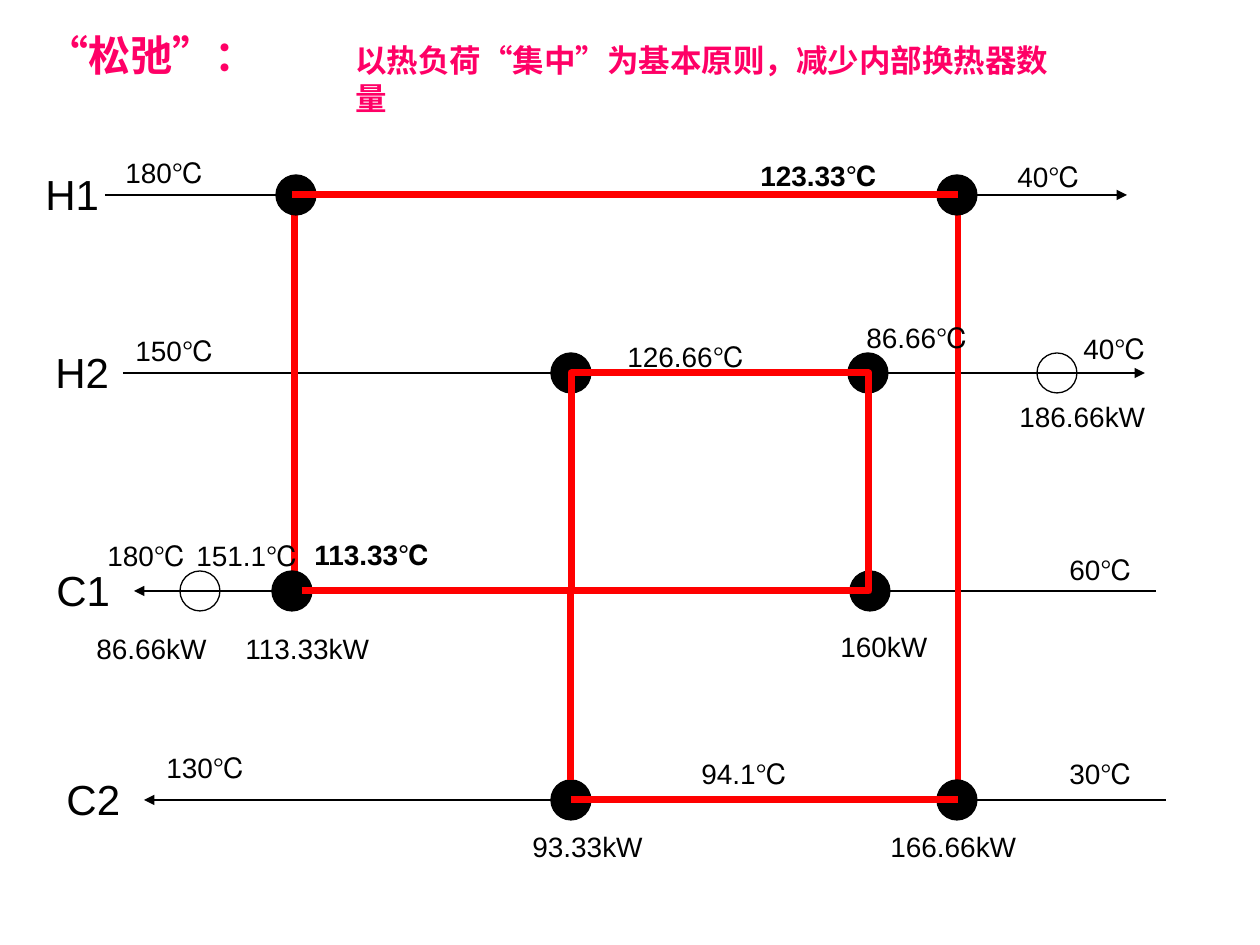
import pptx
import pptx.dml.color
import pptx.enum.shapes
import pptx.enum.text
import pptx.oxml
import pptx.oxml.ns
import pptx.util

PX = 914400 / 126
BLACK, RED, PINK = "000000", "FF0000", "FF0066"
NODE = 40
H1, H2, C1, C2 = 195, 373, 591, 800

STREAMS = [
    ("H1", 33, 105, H1, 1.5, "tailEnd"),
    ("H2", 43, 123, H2, 1.5, "tailEnd"),
    ("C1", 44, 134, C1, 1, "headEnd"),
    ("C2", 54, 144, C2, 1.5, "headEnd"),
]
STREAM_LENGTH = 1022
TEMPERATURES = [
    ("180℃", 113, 149, 120, False),
    ("123.33℃", 748, 152, 169, True),
    ("40℃", 1005, 153, 120, False),
    ("150℃", 123, 327, 120, False),
    ("126.66℃", 615, 333, 164, False),
    ("86.66℃", 854, 314, 154, False),
    ("40℃", 1071, 325, 120, False),
    ("60℃", 1057, 546, 120, False),
    ("113.33℃", 302, 531, 149, True),
    ("151.1℃", 184, 532, 139, False),
    ("180℃", 95, 532, 120, False),
    ("130℃", 154, 744, 120, False),
    ("94.1℃", 689, 750, 139, False),
    ("30℃", 1057, 750, 120, False),
]
LOADS = [
    ("113.33kW", 233, 625, 159, False),
    ("86.66kW", 84, 625, 179, False),
    ("160kW", 828, 623, 120, False),
    ("186.66kW", 1007, 393, 159, False),
    ("93.33kW", 520, 823, 159, False),
    ("166.66kW", 878, 823, 159, False),
]
UTILITIES = [(1057, H2), (200, C1)]
EXCHANGERS = [(868, H2), (870, C1), (957, H1), (571, H2),
              (296, H1), (957, C2), (292, C1), (571, C2)]
MATCHES = [(295, 214, 295, 572), (958, 214, 958, 780)]
LOOPS = [(302, C1, 571, C1), (571, C1, 571, 780),
         (292, H1, 958, H1), (571, C2, 958, C2)]


def px(n):
    """Turn px into EMU."""
    return pptx.util.Emu(round(n * PX))


def color(value):
    """Turn a hex string into a colour."""
    return pptx.dml.color.RGBColor.from_string(value)


def add_line(s, x1, y1, x2, y2, line, width, arrow=None):
    """Draw a straight line, with an arrowhead at the named end."""
    c = s.shapes.add_connector(pptx.enum.shapes.MSO_CONNECTOR.STRAIGHT,
                               px(x1), px(y1), px(x2), px(y2))
    c.line.color.rgb = color(line)
    c.line.width = pptx.util.Pt(width)
    if arrow:
        end = pptx.oxml.ns.qn(f"a:{arrow}")
        c.line._get_or_add_ln().makeelement(end)
        head = pptx.oxml.parse_xml(
            f'<a:{arrow} {pptx.oxml.ns.nsdecls("a")} type="triangle"/>')
        c.line._get_or_add_ln().append(head)
    c._element.spPr.append(pptx.oxml.parse_xml(
        f'<a:effectLst {pptx.oxml.ns.nsdecls("a")}/>'))


def add_outline(s, kind, x, y, w, h, line, width, fill=None):
    """Draw a preset shape, hollow unless a fill is given."""
    sp = s.shapes.add_shape(kind, px(x), px(y), px(w), px(h))
    sp.shadow.inherit = False
    if fill:
        sp.fill.solid()
        sp.fill.fore_color.rgb = color(fill)
    else:
        sp.fill.background()
    sp.line.color.rgb = color(line)
    sp.line.width = pptx.util.Pt(width)


def add_node(s, x, y, fill=None):
    """Draw a heat exchanger circle centred on a stream."""
    add_outline(s, pptx.enum.shapes.MSO_SHAPE.OVAL, x - NODE / 2, y - NODE / 2,
                NODE, NODE, BLACK, 0.75, fill)


def add_text(s, text, x, y, w, h, size, ink=BLACK, bold=False):
    """Write one paragraph in a wrapping text box."""
    tf = s.shapes.add_textbox(px(x), px(y), px(w), px(h)).text_frame
    tf.word_wrap = True
    tf.auto_size = pptx.enum.text.MSO_AUTO_SIZE.SHAPE_TO_FIT_TEXT
    tf.text = text
    font = tf.paragraphs[0].runs[0].font
    font.name = "Arial"
    font.size = pptx.util.Pt(size)
    font.bold = bold
    font.color.rgb = color(ink)


def main():
    """Build the heat exchanger network slide."""
    prs = pptx.Presentation()
    prs.slide_width, prs.slide_height = px(1260), px(945)
    s = prs.slides.add_slide(prs.slide_layouts[6])
    for name, label_x, x, y, width, arrow in STREAMS:
        add_line(s, x, y, x + STREAM_LENGTH, y, BLACK, width, arrow)
        add_text(s, name, label_x, y - 33, 110, 63, 24)
    for match in MATCHES:
        add_line(s, *match, RED, 4)
    for x, y in UTILITIES:
        add_node(s, x, y)
    for text, x, y, w, bold in TEMPERATURES + LOADS:
        add_text(s, text, x, y, w, 47, 16, bold=bold)
    for x, y in EXCHANGERS:
        add_node(s, x, y, BLACK)
    add_outline(s, pptx.enum.shapes.MSO_SHAPE.RECTANGLE,
                571, H2, 298, C1 - H2, RED, 4)
    for loop in LOOPS:
        add_line(s, *loop, RED, 4)
    add_text(s, "“松弛”：", 34, 23, 199, 63, 24, PINK, True)
    add_text(s, "以热负荷“集中”为基本原则，减少内部换热器数量",
             343, 35, 735, 88, 18, PINK, True)
    prs.save("out.pptx")


if __name__ == "__main__":
    main()
